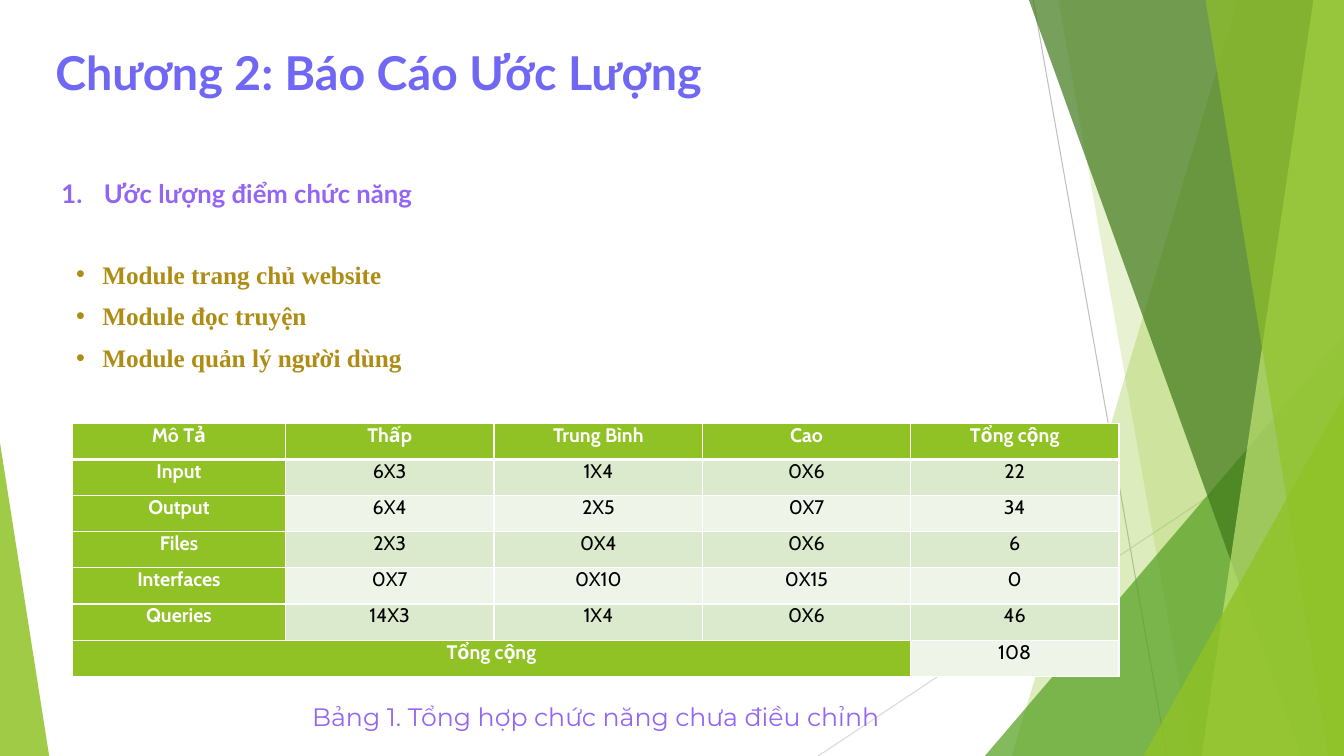
from dataclasses import dataclass

import lxml.etree
import pptx
import pptx.dml.color
import pptx.enum.dml
import pptx.enum.shapes
import pptx.enum.text
import pptx.oxml.ns
import pptx.util

Cm = pptx.util.Cm
Pt = pptx.util.Pt
qn = pptx.oxml.ns.qn
ALIGN = pptx.enum.text.PP_ALIGN
WIDE, HIGH = 33.87, 19.05


@dataclass(frozen=True)
class Theme:
    """Colours and type sizes of the slide."""
    white: str = "FFFFFF"
    black: str = "000000"
    lime: str = "90C226"
    grass: str = "54A021"
    forest: str = "3F7819"
    pale: str = "C0E474"
    bands: tuple = ("DBE9CD", "EEF4E8")
    grays: tuple = ("BFBFBF", "D9D9D9")
    blue: str = "7068F4"
    violet: str = "9465F5"
    gold: str = "AF8C14"
    title: float = 33.3
    head: float = 18.3
    body: float = 18
    cell: float = 14


THEME = Theme()
ROWS = [
    ["Mô Tả", "Thấp", "Trung Bình", "Cao", "Tổng cộng"],
    ["Input", "6X3", "1X4", "0X6", "22"],
    ["Output", "6X4", "2X5", "0X7", "34"],
    ["Files", "2X3", "0X4", "0X6", "6"],
    ["Interfaces", "0X7", "0X10", "0X15", "0"],
    ["Queries", "14X3", "1X4", "0X6", "46"],
    ["Tổng cộng", "", "", "", "108"],
]


def rgb(code):
    """Turn a hex code into a colour."""
    return pptx.dml.color.RGBColor.from_string(code)


def add_node(parent, tag, **attrs):
    """Append an XML child and return it."""
    return lxml.etree.SubElement(parent, qn(tag), attrs)


def tint(shape, color, alpha):
    """Fill a shape with a partly clear colour and no outline."""
    shape.shadow.inherit = False
    shape.fill.solid()
    shape.fill.fore_color.rgb = rgb(color)
    shape.line.fill.background()
    mark = shape._element.spPr.find(".//" + qn("a:srgbClr"))
    add_node(mark, "a:alpha", val=str(alpha * 1000))


def add_panel(slide, top, base, color, alpha):
    """Draw a slanted panel that reaches the right edge."""
    pen = slide.shapes.build_freeform(Cm(top), 0, scale=1.0)
    ends = [(WIDE, 0), (WIDE, HIGH), (base, HIGH)]
    pen.add_line_segments([(Cm(x), Cm(y)) for x, y in ends], close=True)
    tint(pen.convert_to_shape(), color, alpha)


def add_wedge(slide, left, wide, high, peak, color, alpha):
    """Draw a triangle that stands on the bottom edge."""
    kind = pptx.enum.shapes.MSO_SHAPE.ISOSCELES_TRIANGLE
    shape = slide.shapes.add_shape(
        kind, Cm(left), Cm(HIGH - high), Cm(wide), Cm(high))
    shape.adjustments[0] = peak
    tint(shape, color, alpha)


def add_line(slide, start, end, color):
    """Draw a thin straight line."""
    kind = pptx.enum.shapes.MSO_CONNECTOR.STRAIGHT
    line = slide.shapes.add_connector(kind, *map(Cm, start + end))
    line.line.color.rgb = rgb(color)
    line.line.width = Pt(0.75)
    add_node(line._element.spPr, "a:effectLst")


def style(para, font, size, color, bold, align=ALIGN.LEFT):
    """Format the runs of a paragraph."""
    para.alignment = align
    for run in para.runs:
        run.font.name = font
        run.font.size = Pt(size)
        run.font.bold = bold
        run.font.color.rgb = rgb(color)


def space(para, before, after, lines=1.0):
    """Set the spacing of a paragraph."""
    para.line_spacing = lines
    para.space_before = Pt(before)
    para.space_after = Pt(after)


def add_mark(para, left, hang, tag, font, **attrs):
    """Give a paragraph a hanging bullet or number."""
    props = para._p.get_or_add_pPr()
    props.set("marL", str(Cm(left)))
    props.set("indent", str(-Cm(hang)))
    add_node(props, "a:buFont", typeface=font)
    add_node(props, tag, **attrs)


def set_frame(shape, box, text):
    """Place a text shape, fill it and return its paragraphs."""
    shape.left, shape.top, shape.width, shape.height = map(Cm, box)
    frame = shape.text_frame
    frame.text = text
    frame.word_wrap = True
    frame.auto_size = pptx.enum.text.MSO_AUTO_SIZE.NONE
    frame.vertical_anchor = pptx.enum.text.MSO_ANCHOR.TOP
    return frame.paragraphs


def add_text(slide, box, text):
    """Add a text box and return its paragraphs."""
    return set_frame(slide.shapes.add_textbox(0, 0, 0, 0), box, text)


def set_cell(cell, row, col):
    """Format one table cell by its place."""
    last = len(ROWS) - 1
    head = row == 0 or col == 0 or (row == last and col < 4)
    for side in "LRTB":
        thick = (row, side) in ((0, "B"), (1, "T"))
        edge = add_node(cell._tc.get_or_add_tcPr(), "a:ln" + side,
                        w=str(Pt(3 if thick else 1)))
        fill = add_node(edge, "a:solidFill")
        add_node(fill, "a:srgbClr", val=THEME.white)
    cell.fill.solid()
    cell.fill.fore_color.rgb = rgb(
        THEME.lime if head else THEME.bands[(row - 1) % 2])
    cell.margin_left = cell.margin_right = Cm(0.18)
    cell.margin_top = cell.margin_bottom = 0
    style(cell.text_frame.paragraphs[0], "Cabin", THEME.cell,
          THEME.white if head else THEME.black, head, ALIGN.CENTER)


def add_grid(slide):
    """Add the table of function points."""
    wides = [5.36, 5.26, 5.26, 5.23, 5.26]
    grid = slide.shapes.add_table(
        len(ROWS), len(wides), Cm(1.83), Cm(10.67),
        Cm(sum(wides)), Cm(0.91 * len(ROWS))).table
    for col, wide in enumerate(wides):
        grid.columns[col].width = Cm(wide)
    for row, texts in enumerate(ROWS):
        grid.rows[row].height = Cm(0.91)
        for col, text in enumerate(texts):
            cell = grid.cell(row, col)
            cell.text = text
            set_cell(cell, row, col)
    last = len(ROWS) - 1
    grid.cell(last, 0).merge(grid.cell(last, 3))


def add_decor(slide):
    """Draw the green facets and thin lines."""
    add_line(slide, (26.04, 0), (29.41, HIGH), THEME.grays[0])
    add_line(slide, (WIDE, 10.24), (20.62, HIGH), THEME.grays[1])
    add_panel(slide, 31.19, 25.5, THEME.lime, 30)
    add_panel(slide, 26.67, 30.05, THEME.lime, 20)
    add_wedge(slide, 24.82, 9.05, 10.59, 1, THEME.grass, 72)
    add_panel(slide, 25.93, 32.79, THEME.forest, 70)
    add_panel(slide, 33.1, 30.28, THEME.pale, 70)
    add_panel(slide, 30.38, 33.48, THEME.lime, 65)
    add_wedge(slide, 28.82, 5.05, 9.07, 1, THEME.lime, 80)
    add_wedge(slide, 0, 1.24, 7.9, 0, THEME.lime, 85)


def main():
    """Build the slide and save it."""
    deck = pptx.Presentation()
    deck.slide_width, deck.slide_height = Cm(WIDE), Cm(HIGH)
    slide = deck.slides.add_slide(deck.slide_layouts[5])
    add_decor(slide)

    title = set_frame(slide.shapes.title, (1.14, 0.99, 16.94, 3.1),
                      "Chương 2: Báo Cáo Ước Lượng")[0]
    space(title, 5, 5)
    style(title, "Lato", THEME.title, THEME.blue, True)

    head = add_text(slide, (1.3, 4.37, 16.94, 1.04),
                    "Ước lượng điểm chức năng")[0]
    space(head, 1.7, 5)
    add_mark(head, 1.07, 1.07, "a:buAutoNum", "+mj-lt", type="arabicPeriod")
    style(head, "Lato", THEME.head, THEME.violet, True)

    parts = ["Module trang chủ website", "Module đọc truyện",
             "Module quản lý người dùng"]
    for para in add_text(slide, (1.14, 6.35, 16.94, 3.18), "\n".join(parts)):
        space(para, 0, 6.7, 1.07)
        add_mark(para, 1.19, 0.66, "a:buChar", "Arial", char="•")
        style(para, "Times New Roman", THEME.body, THEME.gold, True)

    add_grid(slide)
    note = add_text(slide, (6.53, 17.55, 16.97, 1.02),
                    "Bảng 1. Tổng hợp chức năng chưa điều chỉnh")[0]
    space(note, 0, 5)
    style(note, "Montserrat", THEME.body, THEME.violet, False, ALIGN.CENTER)
    deck.save("out.pptx")


if __name__ == "__main__":
    main()
